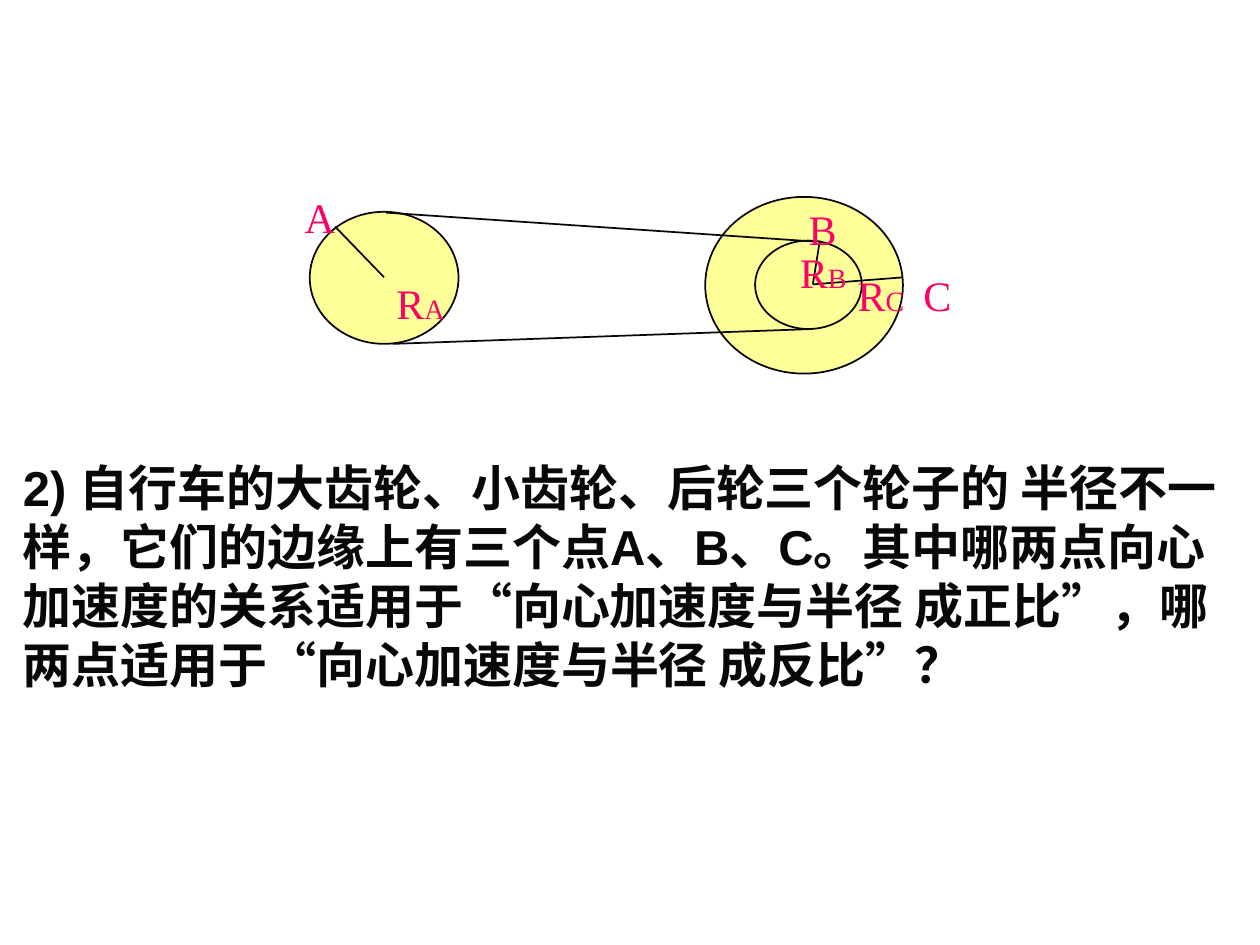
import itertools

import lxml.etree
import pptx
import pptx.dml.color
import pptx.enum.shapes
import pptx.enum.text
import pptx.oxml.ns
import pptx.util

Pt = pptx.util.Pt
qn = pptx.oxml.ns.qn

THEME = {
    "ink": pptx.dml.color.RGBColor.from_string("080808"),
    "wheel": pptx.dml.color.RGBColor.from_string("FFFF99"),
    "label": pptx.dml.color.RGBColor.from_string("FF0066"),
    "line": 1,
    "question": 28,
    "letter": 24,
    "subscript": 16,
    "latin": "Arial",
    "asian": "Noto Sans CJK SC",
    "serif": "Times New Roman",
}

QUESTION = (
    "2) 自行车的大齿轮、小齿轮、后轮三个轮子的 半径不一样，它们的边缘上有三个点A、B、C。"
    "其中哪两点向心加速度的关系适用于“向心加速度与半径 成正比”，"
    "哪两点适用于“向心加速度与半径 成反比”？"
)
QUESTION_AREA = (6, 258, 698, 142)

WHEELS = [
    (177, 121, 85, 75.5),
    (403, 112.5, 113, 101),
    (431.5, 137.5, 61, 50.5),
]
HUB = (464.5, 162.5)
CHAIN = [
    ((220.5, 121.5), (465, 138)),
    ((224.5, 196.5), (464.5, 188)),
]
RADII = [
    ((219.5, 158.5), (191.5, 129.5)),
    (HUB, (468.5, 137.5)),
    (HUB, (516, 158.5)),
]
LABELS = [
    ("A", "", 167, 106, 42.5),
    ("R", "A", 219.5, 155, 52),
    ("B", "", 455, 112.5, 37.5),
    ("C", "", 520.5, 150.5, 37.5),
    ("R", "B", 450, 137.5, 47),
    ("R", "C", 483, 150.5, 47),
]
LABEL_HEIGHT = 36


def points(values):
    return [Pt(value) for value in values]


def style_line(line):
    line.color.rgb = THEME["ink"]
    line.width = Pt(THEME["line"])


def add_text(shapes, area, spans):
    box = shapes.add_textbox(*points(area))
    box.text_frame.word_wrap = True
    box.text_frame.auto_size = pptx.enum.text.MSO_AUTO_SIZE.SHAPE_TO_FIT_TEXT
    para = box.text_frame.paragraphs[0]
    for text, color, form in spans:
        span = para.add_run()
        span.text = text
        for name, value in form.items():
            setattr(span.font, name, value)
        span.font.color.rgb = color
        asian = lxml.etree.SubElement(span.font._element, qn("a:ea"))
        asian.set("typeface", THEME["asian"])


def add_wheel(shapes, area):
    wheel = shapes.add_shape(pptx.enum.shapes.MSO_SHAPE.OVAL, *points(area))
    wheel.shadow.inherit = False
    wheel.fill.solid()
    wheel.fill.fore_color.rgb = THEME["wheel"]
    style_line(wheel.line)


def add_line(shapes, start, end):
    line = shapes.add_connector(
        pptx.enum.shapes.MSO_CONNECTOR.STRAIGHT, *points(start + end)
    )
    style_line(line.line)
    lxml.etree.SubElement(line._element.spPr, qn("a:effectLst"))


def question_spans():
    for quoted, letters in itertools.groupby(QUESTION, lambda letter: letter in "“”"):
        form = {
            "name": THEME["asian" if quoted else "latin"],
            "size": Pt(THEME["question"]),
            "bold": True,
        }
        yield "".join(letters), THEME["ink"], form


def label_spans(letter, subscript):
    for text, size in ((letter, "letter"), (subscript, "subscript")):
        if text:
            form = {"name": THEME["serif"], "size": Pt(THEME[size])}
            yield text, THEME["label"], form


def main():
    """Build the slide on bicycle gears and centripetal acceleration."""
    deck = pptx.Presentation()
    deck.slide_width, deck.slide_height = Pt(720), Pt(540)
    page = deck.slides.add_slide(deck.slide_layouts[6])
    add_text(page.shapes, QUESTION_AREA, question_spans())
    diagram = page.shapes.add_group_shape().shapes
    for area in WHEELS:
        add_wheel(diagram, area)
    for start, end in CHAIN + RADII:
        add_line(diagram, start, end)
    for letter, subscript, left, top, width in LABELS:
        area = (left, top, width, LABEL_HEIGHT)
        add_text(diagram, area, label_spans(letter, subscript))
    deck.save("out.pptx")


if __name__ == "__main__":
    main()
